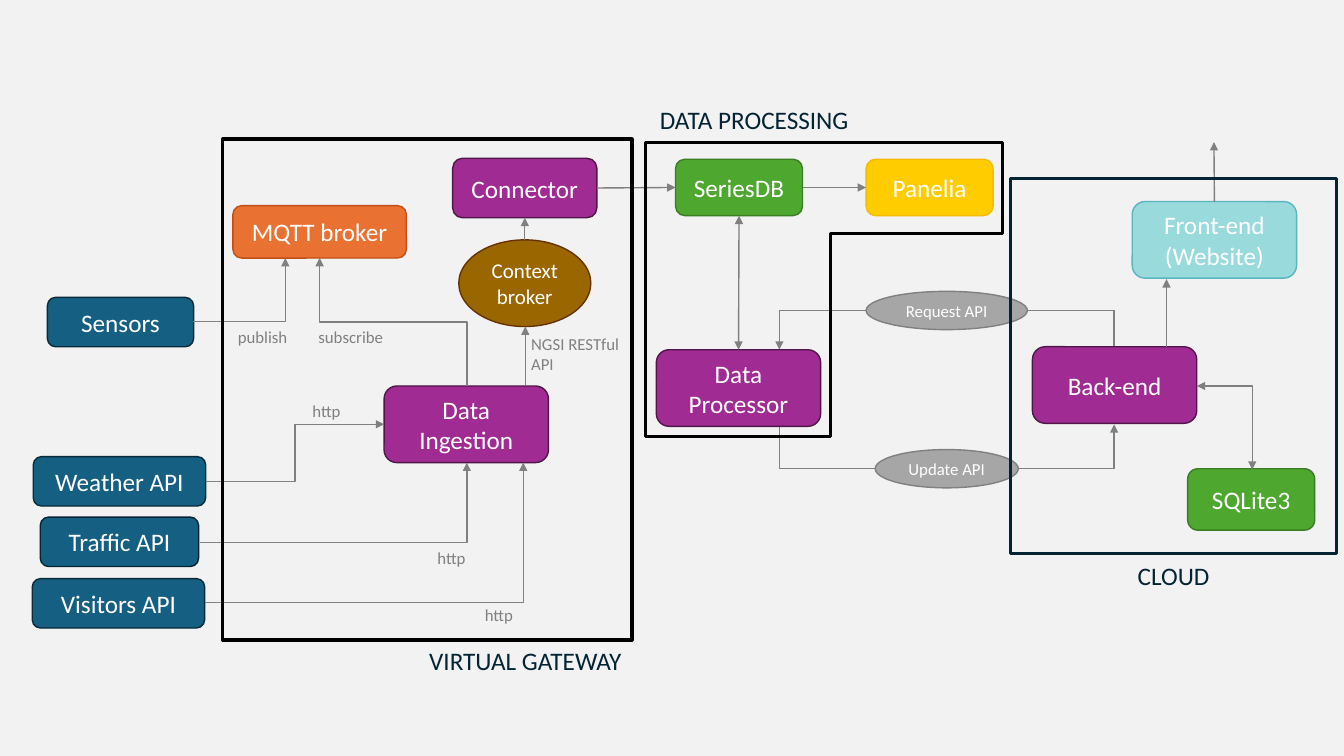
from dataclasses import dataclass

from lxml.etree import SubElement
from pptx import Presentation
from pptx.dml.color import RGBColor
from pptx.enum.shapes import MSO_CONNECTOR as LineKind, MSO_SHAPE as Preset
from pptx.enum.text import MSO_ANCHOR as Anchor, PP_ALIGN as Align
from pptx.oxml.ns import qn
from pptx.util import Inches, Pt

FONT = "Calibri"
BACKGROUND = RGBColor(0xF2, 0xF2, 0xF2)
WHITE = RGBColor(0xFF, 0xFF, 0xFF)
BLACK = RGBColor(0x00, 0x00, 0x00)
GRAY = RGBColor(0x80, 0x80, 0x80)
SILVER = RGBColor(0xA6, 0xA6, 0xA6)
NAVY = RGBColor(0x04, 0x24, 0x33)
BLUE = RGBColor(0x15, 0x60, 0x82)
DARK_BLUE = RGBColor(0x09, 0x2A, 0x39)
ORANGE = RGBColor(0xE9, 0x71, 0x32)
DARK_ORANGE = RGBColor(0xC0, 0x4F, 0x15)
GREEN = RGBColor(0x4E, 0xA7, 0x2E)
DARK_GREEN = RGBColor(0x3B, 0x7D, 0x23)
PURPLE = RGBColor(0xA0, 0x2B, 0x93)
DARK_PURPLE = RGBColor(0x50, 0x16, 0x49)
TEAL = RGBColor(0x99, 0xDA, 0xDD)
DARK_TEAL = RGBColor(0x5A, 0xB5, 0xBF)
BROWN = RGBColor(0x99, 0x66, 0x00)
DARK_BROWN = RGBColor(0x66, 0x33, 0x00)
YELLOW = RGBColor(0xFF, 0xCC, 0x00)
DARK_YELLOW = RGBColor(0xF6, 0xBB, 0x00)

TOP, LEFT, BOTTOM, RIGHT = range(4)
Point = tuple[float, float]


@dataclass
class Node:
    text: str
    left: float
    top: float
    width: float
    height: float
    fill: RGBColor
    line: RGBColor
    preset: Preset = Preset.ROUNDED_RECTANGLE
    size: float = 18


@dataclass
class Label:
    text: str
    left: float
    top: float
    width: float
    height: float = 0.3
    size: float = 12
    color: RGBColor = GRAY
    align: Align = Align.LEFT


@dataclass
class Link:
    start: Point
    end: Point
    begin_at: tuple[str, int] | None = None
    end_at: tuple[str, int] | None = None
    head: bool = False
    tail: bool = True


@dataclass
class Elbow:
    start: Point
    end: Point
    preset: str = "bentConnector2"
    upright: bool = False
    head: bool = False


@dataclass
class Frame:
    left: float
    top: float
    width: float
    height: float
    line: RGBColor
    preset: Preset = Preset.RECTANGLE
    rotation: float = 0
    adjustments: tuple[float, ...] = ()


NODES = [
    Node("Sensors", 0.47, 2.95, 1.45, 0.49, BLUE, DARK_BLUE),
    Node("Weather API", 0.33, 4.53, 1.71, 0.49, BLUE, DARK_BLUE),
    Node("Visitors API", 0.32, 5.74, 1.71, 0.49, BLUE, DARK_BLUE),
    Node("Traffic API", 0.4, 5.13, 1.57, 0.49, BLUE, NAVY),
    Node("MQTT broker", 2.31, 2.04, 1.72, 0.52, ORANGE, DARK_ORANGE),
    Node("SeriesDB", 6.7, 1.58, 1.26, 0.56, GREEN, DARK_GREEN),
    Node("Data Ingestion", 3.81, 3.83, 1.63, 0.76, PURPLE, DARK_PURPLE),
    Node("Data Processor", 6.51, 3.47, 1.63, 0.76, PURPLE, DARK_PURPLE),
    Node("SQLite3", 11.78, 4.65, 1.26, 0.61, GREEN, DARK_GREEN),
    Node("Back-end", 10.24, 3.44, 1.63, 0.76, PURPLE, DARK_PURPLE),
    Node("Request API", 8.59, 2.89, 1.6, 0.38, SILVER, GRAY, Preset.OVAL, 12),
    Node("Update API", 8.68, 4.46, 1.42, 0.38, SILVER, GRAY, Preset.OVAL, 12),
    Node("Front-end (Website)", 11.23, 2, 1.63, 0.76, TEAL, DARK_TEAL),
    Node("Context broker", 4.55, 2.38, 1.31, 0.86, BROWN, DARK_BROWN, Preset.OVAL, 15),
    Node("Connector", 4.49, 1.57, 1.43, 0.59, PURPLE, DARK_PURPLE),
    Node("Panelia", 8.59, 1.58, 1.26, 0.56, YELLOW, DARK_YELLOW),
]
API_ROUTES = [
    [(7.73, 4.24), (7.73, 4.65), (11.05, 4.65), (11.05, 4.21)],
    [(11.05, 3.44), (11.05, 3.08), (7.73, 3.08), (7.73, 3.47)],
]
LINKS = [
    Link((5.21, 3.82), (5.21, 3.24)),
    Link((11.57, 3.44), (11.57, 2.77)),
    Link((7.33, 3.47), (7.33, 2.14), ("Data Processor", TOP), ("SeriesDB", BOTTOM), head=True),
    Link((5.21, 2.38), (5.21, 2.16), ("Context broker", TOP), ("Connector", BOTTOM)),
    Link((5.92, 1.86), (6.7, 1.86), ("Connector", RIGHT), ("SeriesDB", LEFT)),
    Link((7.96, 1.86), (8.59, 1.86), ("SeriesDB", RIGHT), ("Panelia", LEFT)),
    Link((12.04, 2), (12.04, 1.41), ("Front-end (Website)", TOP)),
]
ELBOWS = [
    Elbow((1.91, 3.19), (2.83, 2.56)),
    Elbow((2.04, 4.78), (3.81, 4.21), "bentConnector3"),
    Elbow((2.03, 5.98), (5.19, 4.59)),
    Elbow((1.98, 5.38), (4.63, 4.59)),
    Elbow((4.63, 3.83), (3.17, 2.56), "bentConnector3", upright=True),
    Elbow((11.87, 3.83), (12.42, 4.66), head=True),
]
LABELS = [
    Label("publish", 2.26, 3.19, 0.75),
    Label("subscribe", 3.06, 3.19, 1.07),
    *(Label("http", left, top, 0.6) for left, top in [(3, 3.93), (4.24, 5.38), (4.71, 5.95)]),
    Label("NGSI RESTful API", 5.17, 3.26, 1.2, 0.5),
    Label("CLOUD", 11.1, 5.51, 1.08, 0.4, 18, NAVY, Align.CENTER),
    Label("DATA PROCESSING", 6.12, 0.99, 2.72, 0.4, 18, NAVY, Align.CENTER),
    Label("VIRTUAL GATEWAY", 3.85, 6.35, 2.72, 0.4, 18, NAVY, Align.CENTER),
]
FRAMES = [
    Frame(10.02, 1.77, 3.24, 3.72, NAVY),
    Frame(6.71, 1.1, 2.92, 3.54, BLACK, Preset.CORNER, 90, (0.63, 0.31)),
    Frame(2.21, 1.38, 4.06, 4.97, BLACK),
]


def write(shape, text: str, size: float, color: RGBColor, align: Align) -> None:
    shape.text_frame.word_wrap = True
    paragraph = shape.text_frame.paragraphs[0]
    paragraph.alignment = align
    run = paragraph.add_run()
    run.text = text
    for name, value in {"name": FONT, "size": Pt(size)}.items():
        setattr(run.font, name, value)
    run.font.color.rgb = color


def outline(shape, color: RGBColor, width: float) -> None:
    shape.shadow.inherit = False
    shape.line.color.rgb = color
    shape.line.width = Pt(width)


def add_node(slide, node: Node):
    box = map(Inches, (node.left, node.top, node.width, node.height))
    shape = slide.shapes.add_shape(node.preset, *box)
    shape.fill.solid()
    shape.fill.fore_color.rgb = node.fill
    outline(shape, node.line, 1)
    write(shape, node.text, node.size, WHITE, Align.CENTER)
    shape.text_frame.vertical_anchor = Anchor.MIDDLE
    return shape


def add_line(slide, kind: LineKind, start: Point, end: Point, head: bool, tail: bool):
    connector = slide.shapes.add_connector(kind, *map(Inches, (*start, *end)))
    connector.line.color.rgb = GRAY
    connector.line.width = Pt(1)
    properties = connector.element.spPr
    for name, wanted in {"a:headEnd": head, "a:tailEnd": tail}.items():
        if wanted:
            SubElement(properties.find(qn("a:ln")), qn(name), type="triangle")
    SubElement(properties, qn("a:effectLst"))
    return connector


def add_link(slide, link: Link, shapes: dict) -> None:
    connector = add_line(slide, LineKind.STRAIGHT, link.start, link.end, link.head, link.tail)
    for join, place in ((connector.begin_connect, link.begin_at), (connector.end_connect, link.end_at)):
        if place:
            join(shapes[place[0]], place[1])


def add_elbow(slide, elbow: Elbow) -> None:
    connector = add_line(slide, LineKind.ELBOW, elbow.start, elbow.end, elbow.head, True)
    properties = connector.element.spPr
    properties.find(qn("a:prstGeom")).set("prst", elbow.preset)
    if elbow.upright:
        (x1, y1), (x2, y2) = elbow.start, elbow.end
        width, height = abs(y2 - y1), abs(x2 - x1)
        box = {"left": (x1 + x2 - width) / 2, "top": (y1 + y2 - height) / 2, "width": width, "height": height}
        for name, value in box.items():
            setattr(connector, name, Inches(value))
        for name, value in {"rot": "16200000", "flipH": "0", "flipV": "1"}.items():
            properties.find(qn("a:xfrm")).set(name, value)


def add_label(slide, label: Label) -> None:
    box = map(Inches, (label.left, label.top, label.width, label.height))
    write(slide.shapes.add_textbox(*box), label.text, label.size, label.color, label.align)


def add_frame(slide, frame: Frame) -> None:
    box = map(Inches, (frame.left, frame.top, frame.width, frame.height))
    shape = slide.shapes.add_shape(frame.preset, *box)
    shape.rotation = frame.rotation
    for index, value in enumerate(frame.adjustments):
        shape.adjustments[index] = value
    shape.fill.background()
    outline(shape, frame.line, 2.25)


def main() -> None:
    presentation = Presentation()
    presentation.slide_width, presentation.slide_height = Inches(13.33), Inches(7.5)
    slide = presentation.slides.add_slide(presentation.slide_layouts[6])
    slide.background.fill.solid()
    slide.background.fill.fore_color.rgb = BACKGROUND
    for route in API_ROUTES:
        for start, end in zip(route, route[1:]):
            add_link(slide, Link(start, end, tail=end == route[-1]), {})
    shapes = {node.text: add_node(slide, node) for node in NODES}
    for link in LINKS:
        add_link(slide, link, shapes)
    for elbow in ELBOWS:
        add_elbow(slide, elbow)
    for label in LABELS:
        add_label(slide, label)
    for frame in FRAMES:
        add_frame(slide, frame)
    presentation.save("out.pptx")


if __name__ == "__main__":
    main()
